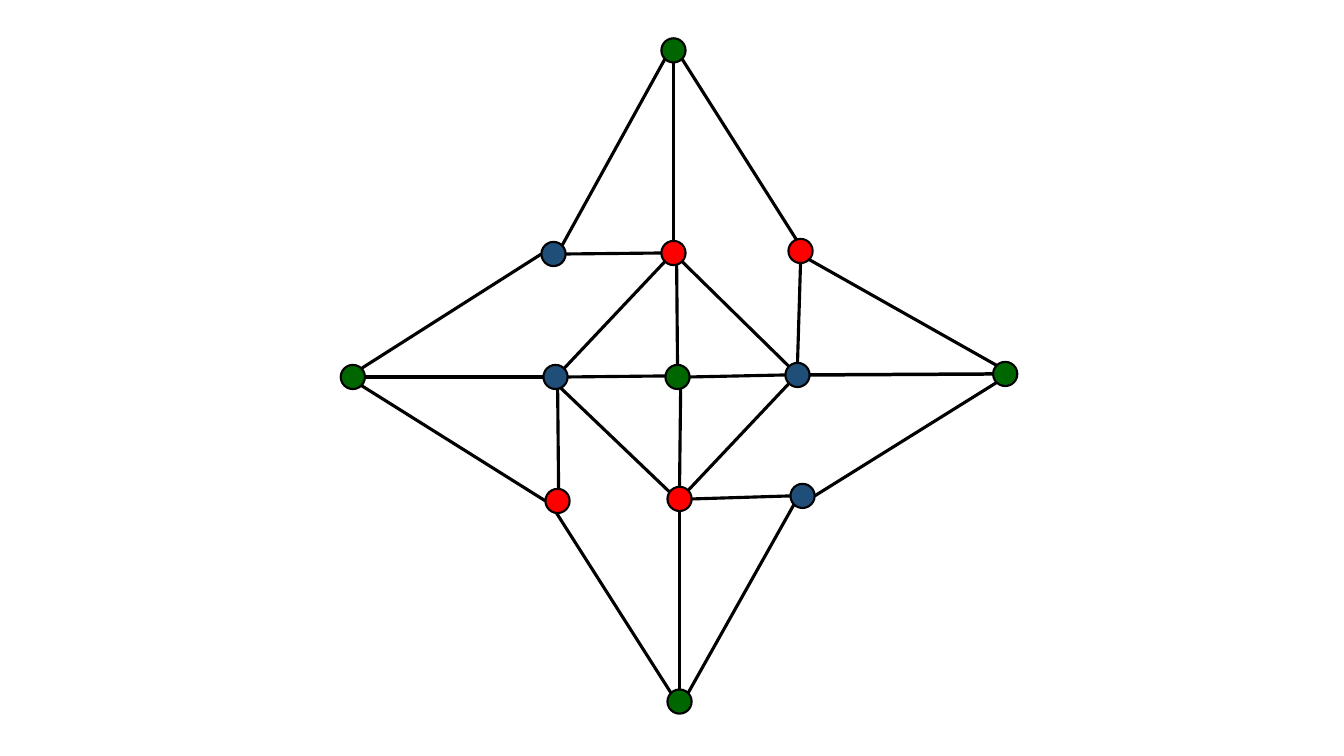
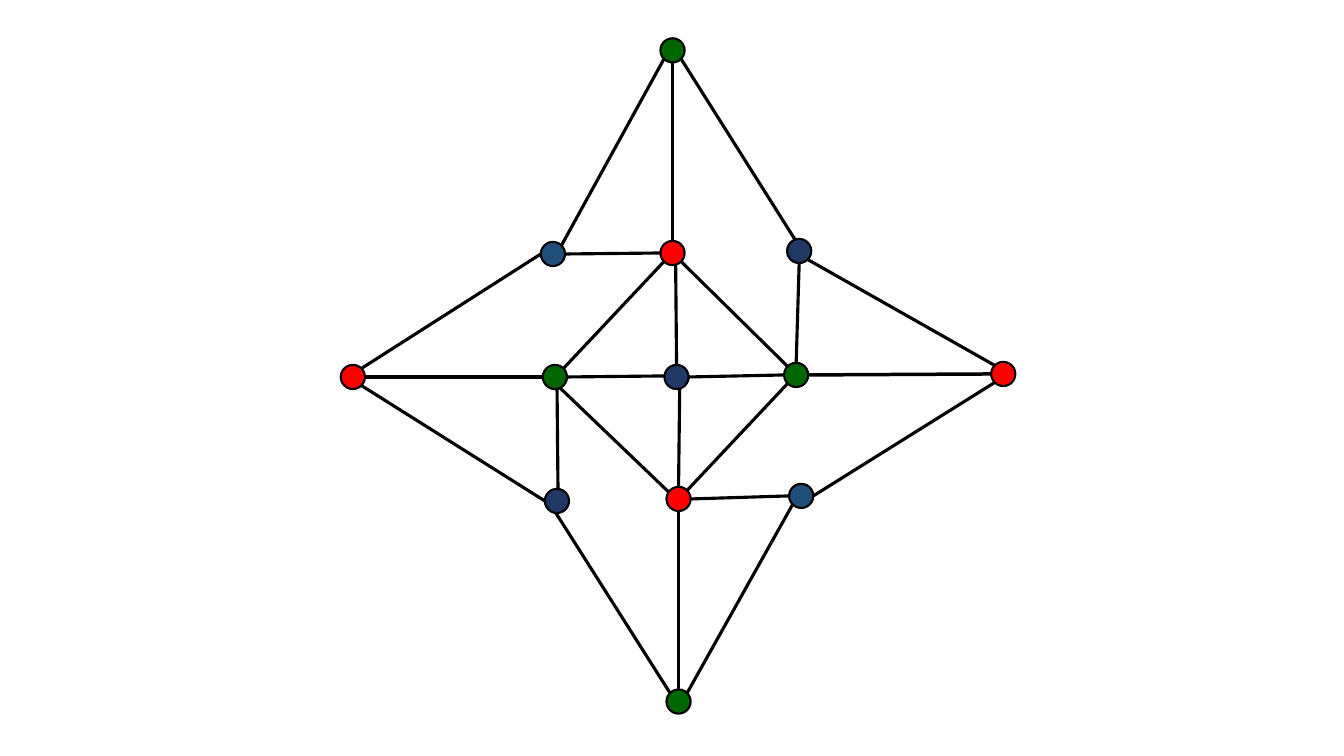
from math import cos, radians, sin

from lxml import etree
from pptx import Presentation
from pptx.dml.color import RGBColor
from pptx.enum.shapes import MSO_CONNECTOR, MSO_SHAPE
from pptx.oxml.ns import qn
from pptx.util import Inches, Pt

BLACK = RGBColor(0, 0, 0)
GREEN = RGBColor(0x00, 0x66, 0x00)
RED = RGBColor(0xFF, 0x00, 0x00)
BLUE = RGBColor(0x1F, 0x4E, 0x79)
NAVY = RGBColor(0x20, 0x38, 0x64)

DIAMETER = 0.24
NODE_LINE, EDGE_LINE, SPOKE_LINE = 1.5, 2.25, 2.5

# Centre of each node, in inches
NODES = {
    "north tip": (6.68, 0.50), "north": (6.68, 2.51),
    "south tip": (6.74, 6.96), "south": (6.74, 4.95),
    "west tip": (3.50, 3.74), "west": (5.51, 3.74),
    "east tip": (9.97, 3.71), "east": (7.91, 3.72),
    "north-west": (5.49, 2.52), "north-east": (7.94, 2.49),
    "south-west": (5.53, 4.97), "south-east": (7.96, 4.92),
    "centre": (6.72, 3.74),
}

# Compass bearings, in degrees, at which edges meet a node's rim
N, NE, E, SE, S, SW, W, NW = range(0, 360, 45)

SPOKES = [
    ("north", N, "north tip", S), ("south", S, "south tip", N),
    ("west", W, "west tip", E), ("east", E, "east tip", W),
]
EDGES = [
    # Outer star
    ("north-west", NE, "north tip", SW), ("north-east", 340, "north tip", SE),
    ("north-west", W, "west tip", NE), ("south-west", W, "west tip", SE),
    ("south-west", 185, "south tip", NW), ("south-east", SW, "south tip", NE),
    ("south-east", E, "east tip", SW), ("north-east", SE, "east tip", NW),
    # Links from the star's inner corners
    ("north", W, "north-west", E), ("east", N, "north-east", S),
    ("south", E, "south-east", W), ("west", 170, "south-west", 5),
    # Inner diamond
    ("north", SW, "west", NE), ("north", SE, "east", NW),
    ("west", 155, "south", 305), ("south", NE, "east", SW),
    # Inner cross
    ("north", 165, "centre", N), ("south", N, "centre", 165),
    ("west", E, "centre", 275), ("east", W, "centre", E),
]

# Each slide: horizontal scale from the west tip, and nodes by colour
COLOURINGS = [
    (1, {
        GREEN: ["north tip", "south tip", "west tip", "east tip", "centre"],
        RED: ["north", "south", "north-east", "south-west"],
        BLUE: ["west", "east", "north-west", "south-east"],
    }),
    (0.997, {
        GREEN: ["north tip", "south tip", "west", "east"],
        RED: ["north", "south", "west tip", "east tip"],
        BLUE: ["north-west", "south-east"],
        NAVY: ["centre", "north-east", "south-west"],
    }),
]


def rim_point(centre, bearing):
    x, y = centre
    angle = radians(bearing)
    return (Inches(x + DIAMETER / 2 * sin(angle)),
            Inches(y - DIAMETER / 2 * cos(angle)))


def add_edge(s, start, end, width):
    line = s.shapes.add_connector(MSO_CONNECTOR.STRAIGHT, *start, *end)
    line.line.color.rgb = BLACK
    line.line.width = Pt(width)
    etree.SubElement(line._element.spPr, qn("a:effectLst"))


def add_node(s, centre, colour):
    x, y = (Inches(c - DIAMETER / 2) for c in centre)
    sp = s.shapes.add_shape(MSO_SHAPE.OVAL, x, y, Inches(DIAMETER), Inches(DIAMETER))
    sp.shadow.inherit = False
    sp.fill.solid()
    sp.fill.fore_color.rgb = colour
    sp.line.color.rgb = BLACK
    sp.line.width = Pt(NODE_LINE)


def add_graph(s, scale, colouring):
    left = NODES["west tip"][0]
    centres = {name: (left + (x - left) * scale, y) for name, (x, y) in NODES.items()}
    for edges, width in ((SPOKES, SPOKE_LINE), (EDGES, EDGE_LINE)):
        for a, a_bearing, b, b_bearing in edges:
            add_edge(s, rim_point(centres[a], a_bearing),
                     rim_point(centres[b], b_bearing), width)
    for colour, names in colouring.items():
        for name in names:
            add_node(s, centres[name], colour)


def main():
    prs = Presentation()
    prs.slide_width, prs.slide_height = Inches(13.33), Inches(7.5)
    for scale, colouring in COLOURINGS:
        add_graph(prs.slides.add_slide(prs.slide_layouts[6]), scale, colouring)
    prs.save("out.pptx")


if __name__ == "__main__":
    main()
